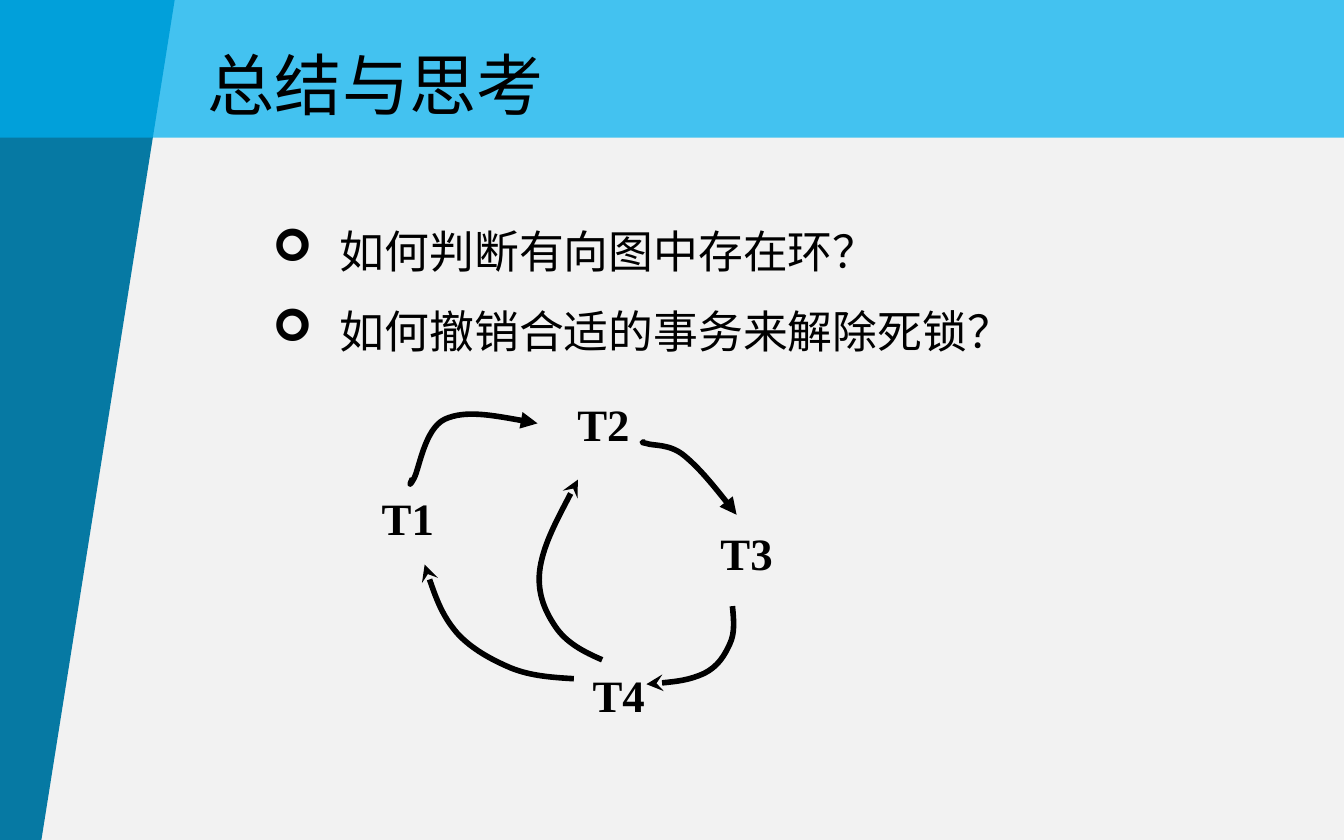
import lxml.etree
import pptx
import pptx.dml.color
import pptx.enum.shapes
import pptx.enum.text
import pptx.oxml
import pptx.oxml.ns
import pptx.util

Pt = pptx.util.Pt
qn = pptx.oxml.ns.qn
WIDE, HIGH = 720, 450
CJK = "Noto Sans CJK SC"
HUES = {"back": "F2F2F2", "side": "0679A3", "band": "00B0F0", "ink": "000000"}


def hue(name):
    return pptx.dml.color.RGBColor.from_string(HUES[name])


def add(parent, tag, **attrs):
    return lxml.etree.SubElement(parent, qn(tag), **attrs)


class Deck:
    """Holds the style and the current slide."""

    def __init__(self):
        self.file = pptx.Presentation()
        self.file.slide_width, self.file.slide_height = Pt(WIDE), Pt(HIGH)
        self.slide = self.file.slides.add_slide(self.file.slide_layouts[6])
        self.shapes = self.slide.shapes
        fill = self.slide.background.fill
        fill.solid()
        fill.fore_color.rgb = hue("back")

    def paint(self, shape, color):
        shape.shadow.inherit = False
        shape.fill.solid()
        shape.fill.fore_color.rgb = hue(color)
        shape.line.fill.background()

    def trace(self, points, close):
        start, *rest = [(Pt(x), Pt(y)) for x, y in points]
        form = self.shapes.build_freeform(*start, scale=1.0)
        form.add_line_segments(rest, close=close)
        return form.convert_to_shape()

    def panel(self, points, color):
        self.paint(self.trace(points, True), color)

    def band(self, x, y, w, h, color, alpha):
        kind = pptx.enum.shapes.MSO_SHAPE.RECTANGLE
        shape = self.shapes.add_shape(kind, Pt(x), Pt(y), Pt(w), Pt(h))
        self.paint(shape, color)
        tint = shape.fill._xPr.find(".//" + qn("a:srgbClr"))
        add(tint, "a:alpha", val=str(alpha * 1000))

    def curve(self, points, end, tip):
        """Draw a Bezier line: a start, then three points for each piece."""
        shape = self.trace(points, False)
        shape.shadow.inherit = False
        shape.fill.background()
        shape.line.color.rgb = hue("ink")
        shape.line.width = Pt(3)
        add(shape.line._get_or_add_ln(), "a:" + end, type=tip)
        track = shape._element.find(".//" + qn("a:path"))
        steps = track.findall(qn("a:lnTo"))
        for i in range(0, len(steps), 3):
            bend = add(track, "a:cubicBezTo")
            for step in steps[i:i + 3]:
                bend.append(step[0])
                track.remove(step)

    def text(self, x, y, w, h, lines, size, font, bold=False, mark=None, pitch=None):
        frame = self.shapes.add_textbox(Pt(x), Pt(y), Pt(w), Pt(h)).text_frame
        frame.word_wrap = True
        frame.text = "\n".join(lines)
        for para in frame.paragraphs:
            if pitch:
                para.line_spacing = Pt(pitch)
            if mark:
                props = para._p.get_or_add_pPr()
                props.set("marL", str(Pt(36)))
                props.set("indent", str(Pt(-36)))
                add(props, "a:buFont", typeface="Wingdings")
                add(props, "a:buChar", char=mark)
            else:
                para.alignment = pptx.enum.text.PP_ALIGN.CENTER
            for run in para.runs:
                run.font.size, run.font.bold = Pt(size), bold
                run.font.name = font
                run.font.color.rgb = hue("ink")
                add(run._r.get_or_add_rPr(), "a:ea", typeface=CJK)


def main():
    deck = Deck()

    # Side panel and title band
    deck.panel([(0, 0), (93.6, 0), (22.2, HIGH), (0, HIGH)], "side")
    deck.band(0, 0, WIDE, 73.8, "band", 72)

    # Arrows of the wait graph
    arrows = [
        ("headEnd", "triangle",  # T1 to T2
         [(288, 226.8), (268.6, 223.2), (249.1, 219.6), (238.3, 224.6), (227.5, 229.7),
          (224.6, 251.3), (221.8, 256.3), (218.9, 261.4), (219.6, 259.2), (221, 256.3)]),
        ("headEnd", "triangle",  # T2 to T3
         [(394.6, 275.8), (384.5, 262.8), (374.4, 250.6), (366.5, 244.1), (358.6, 237.6),
          (349.9, 239), (346.3, 237.6), (342.7, 236.9), (344.2, 236.9), (345.6, 236.9)]),
        ("tailEnd", "stealth",  # T4 to T1
         [(307.4, 363.6), (295.9, 362.9), (284.4, 362.2), (273.6, 357.8), (263.5, 353.5),
          (252.7, 347.8), (244.8, 339.1), (236.9, 329.8), (231.8, 316.1), (227.5, 302.4)]),
        ("tailEnd", "stealth",  # T3 to T4
         [(392.4, 324.7), (393.1, 331.9), (393.8, 339.1), (391, 344.9), (388.1, 351.4),
          (384.5, 357.1), (377.3, 360.7), (369.4, 364.3), (357.8, 365.8), (346.3, 366.5)]),
        ("tailEnd", "stealth",  # T4 to T2
         [(322.6, 353.5), (312.5, 349.2), (303.1, 344.2), (297.4, 335.5), (291.6, 326.9),
          (287.3, 316.8), (289.4, 303.8), (291.6, 290.9), (301, 273.6), (309.6, 257)]),
    ]
    for end, tip, points in arrows:
        deck.curve(points, end, tip)

    # Nodes of the wait graph
    nodes = [("T1", 195.8, 259.2, 45.4), ("T2", 286.6, 208.8, 73.4),
             ("T3", 377.3, 277.9, 45.4), ("T4", 300.2, 354.2, 62.6)]
    for name, x, y, w in nodes:
        deck.text(x, y, w, 36, [name], 24, "Times New Roman", bold=True)

    # Questions and title
    deck.text(139, 102, 402.5, 94.3,
              ["如何判断有向图中存在环？", "如何撤销合适的事务来解除死锁？"],
              24, CJK, mark="➢", pitch=43)
    deck.text(93.6, 15.8, 215.3, 51.1, ["总结与思考"], 36, "Arial", pitch=47)

    deck.file.save("out.pptx")


if __name__ == "__main__":
    main()
